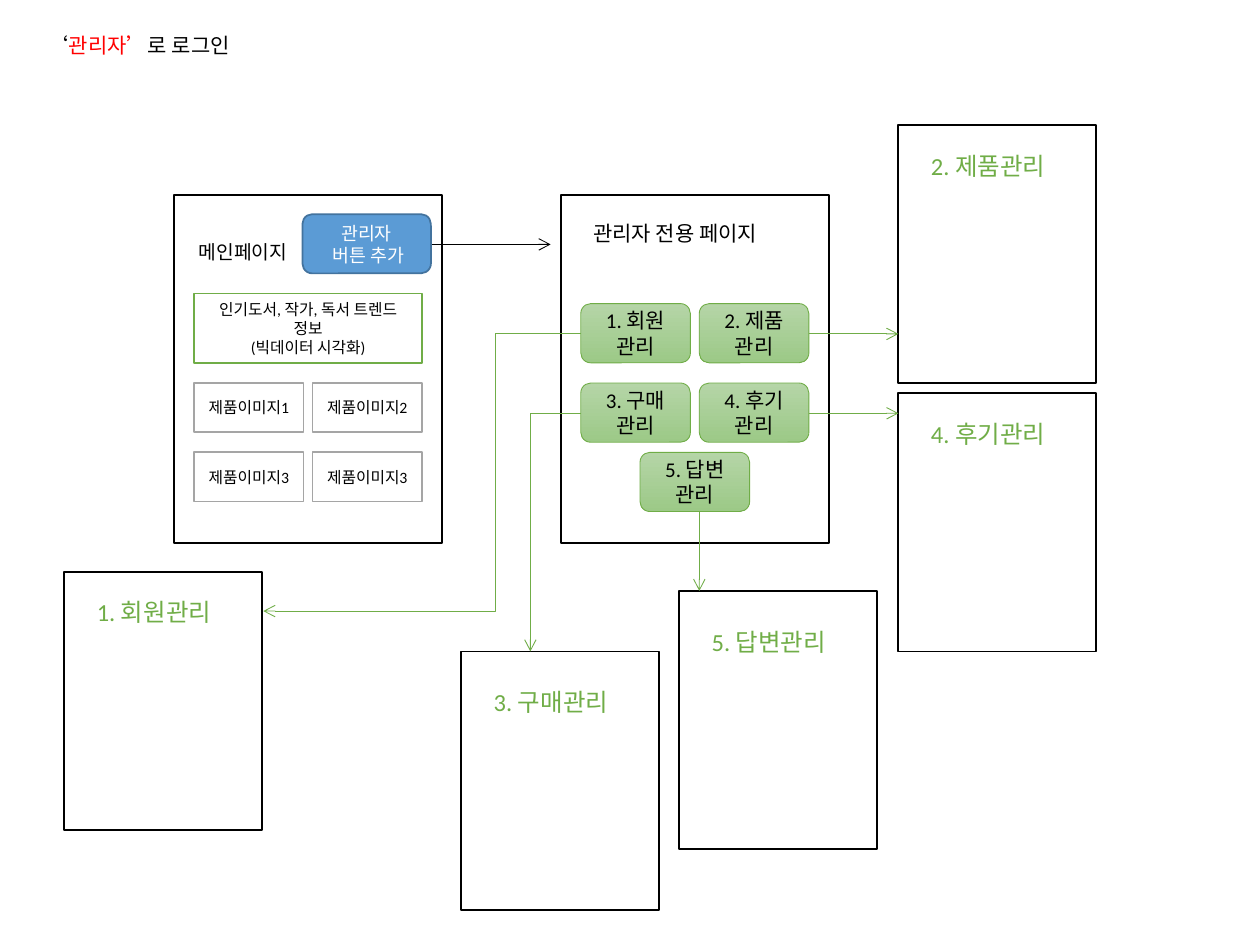
import pptx
import pptx.util
import pptx.dml.color
import pptx.enum.shapes
import pptx.enum.text
import pptx.oxml
import pptx.oxml.ns
from pptx.util import Inches, Pt

BLACK, WHITE, RED = "000000", "FFFFFF", "FF0000"
GREEN, GREY, BLUE, DARK_BLUE = "70AD47", "A5A5A5", "5B9BD5", "43739E"
GRADIENT = ("B5D5A7", "9CC987")

SHAPE = pptx.enum.shapes.MSO_SHAPE
CONNECTOR = pptx.enum.shapes.MSO_CONNECTOR
ALIGN = pptx.enum.text.PP_ALIGN
ANCHOR = pptx.enum.text.MSO_ANCHOR
qn = pptx.oxml.ns.qn


def rgb(value):
    return pptx.dml.color.RGBColor.from_string(value)


class Board:
    font = "Calibri"

    def __init__(self, slide):
        self.slide = slide

    def style(self, p, size, color, align):
        p.alignment = align
        p.font.name = self.font
        p.font.size = Pt(size)
        p.font.color.rgb = rgb(color)

    def title(self, runs, left, top, width, height, size):
        sp = self.slide.shapes.title
        sp.left, sp.top = Inches(left), Inches(top)
        sp.width, sp.height = Inches(width), Inches(height)
        tf = sp.text_frame
        tf.auto_size = pptx.enum.text.MSO_AUTO_SIZE.NONE
        tf.vertical_anchor = ANCHOR.TOP
        p = tf.paragraphs[0]
        self.style(p, size, BLACK, ALIGN.LEFT)
        p.line_spacing = 1.0
        p.space_before = Pt(0)
        for text, color in runs:
            r = p.add_run()
            r.text = text
            r.font.color.rgb = rgb(color)

    def label(self, text, left, top, width, height, size, color=BLACK, align=ALIGN.LEFT):
        sp = self.slide.shapes.add_textbox(
            Inches(left), Inches(top), Inches(width), Inches(height))
        tf = sp.text_frame
        tf.word_wrap = True
        tf.text = text
        self.style(tf.paragraphs[0], size, color, align)

    def box(self, left, top, width, height, lines=(), size=9, color=BLACK,
            fill=None, line=BLACK, weight=1, kind=SHAPE.RECTANGLE):
        sp = self.slide.shapes.add_shape(
            kind, Inches(left), Inches(top), Inches(width), Inches(height))
        sp.shadow.inherit = False
        if fill is None:
            sp.fill.background()
        elif isinstance(fill, tuple):
            sp.fill.gradient()
            sp.fill.gradient_angle = 270
            for stop, shade in zip(sp.fill.gradient_stops, fill):
                stop.color.rgb = rgb(shade)
        else:
            sp.fill.solid()
            sp.fill.fore_color.rgb = rgb(fill)
        sp.line.color.rgb = rgb(line)
        sp.line.width = Pt(weight)
        if lines:
            tf = sp.text_frame
            tf.word_wrap = True
            tf.vertical_anchor = ANCHOR.MIDDLE
            tf.text = "\n".join(lines)
            for p in tf.paragraphs:
                self.style(p, size, color, ALIGN.CENTER)

    def arrow(self, x1, y1, x2, y2, color=GREEN, preset=None, bend=None):
        kind = CONNECTOR.ELBOW if preset else CONNECTOR.STRAIGHT
        sp = self.slide.shapes.add_connector(
            kind, Inches(x1), Inches(y1), Inches(x2), Inches(y2))
        sp.line.color.rgb = rgb(color)
        sp.line.width = Pt(0.5)
        pptx.oxml.ns  # namespaces for the arrowhead and geometry below
        props = sp._element.spPr
        head = props.find(qn("a:ln")).makeelement(qn("a:tailEnd"), {"type": "arrow"})
        props.find(qn("a:ln")).append(head)
        props.append(props.makeelement(qn("a:effectLst"), {}))
        if preset:
            geom = props.find(qn("a:prstGeom"))
            geom.set("prst", preset)
            if bend is not None:
                guide = geom.makeelement(
                    qn("a:gd"), {"name": "adj1", "fmla": f"val {round(bend * 100000)}"})
                geom.find(qn("a:avLst")).append(guide)


def main():
    prs = pptx.Presentation()
    prs.slide_width, prs.slide_height = Inches(10), Inches(7.5)
    s = prs.slides.add_slide(prs.slide_layouts[5])
    board = Board(s)

    board.title([("‘", BLACK), ("관리자’", RED), ("로 로그인", BLACK)],
                0.28, 0.21, 1.73, 0.3, 12)

    # Main page with its product grid
    page_top, page_w, page_h = 1.55, 2.13, 2.76
    board.box(1.38, page_top, page_w, page_h)
    board.label("메인페이지", 1.38, 1.86, 1.1, 0.29, 11, align=ALIGN.CENTER)
    for i, number in enumerate((1, 2, 3, 3)):
        row, col = divmod(i, 2)
        board.box(1.54 + 0.94 * col, 3.04 + 0.55 * row, 0.87, 0.39,
                  [f"제품이미지{number}"], fill=WHITE, line=GREY)
    board.box(1.54, 2.33, 1.81, 0.55,
              ["인기도서, 작가, 독서 트렌드 정보", "(빅데이터 시각화)"],
              fill=WHITE, line=GREEN)
    board.arrow(3.43, 1.94, 4.37, 1.94, BLACK)

    # Administrator page
    board.box(4.45, page_top, page_w, page_h)
    board.label("관리자 전용 페이지", 4.61, 1.7, 1.73, 0.3, 12)
    board.box(2.4, 1.7, 1.02, 0.47, ["관리자", " 버튼 추가"], 10.5, WHITE,
              BLUE, DARK_BLUE, kind=SHAPE.ROUNDED_RECTANGLE)

    # Each topic: name, button position, detail page position, label offset
    topics = [
        ("회원", 4.61, 2.41, 0.51, 4.54, 0.15),
        ("제품", 5.55, 2.41, 7.13, 0.99, 0.16),
        ("구매", 4.61, 3.04, 3.66, 5.17, 0.23),
        ("후기", 5.55, 3.04, 7.13, 3.12, 0.16),
        ("답변", 5.08, 3.59, 5.39, 4.69, 0.24),
    ]
    for n, (name, x, y, page_x, page_y, offset) in enumerate(topics, 1):
        board.box(x, y, 0.87, 0.47, [f"{n}. {name}", "관리"], 12,
                  fill=GRADIENT, line=GREEN, weight=0.5,
                  kind=SHAPE.ROUNDED_RECTANGLE)
        board.box(page_x, page_y, 1.57, 2.05)
        board.label(f"{n}. {name}관리", page_x + 0.16, page_y + offset,
                    1.26, 0.34, 14, GREEN)

    # Arrows from the buttons to the detail pages
    for y in (2.65, 3.28):
        board.arrow(6.42, y, 7.13, y)
    board.arrow(5.55, 4.06, 5.55, 4.69)
    board.arrow(4.61, 3.28, 4.21, 5.17, preset="bentConnector2")
    board.arrow(4.61, 2.65, 2.09, 4.85, preset="bentConnector3", bend=0.27)

    prs.save("out.pptx")


if __name__ == "__main__":
    main()
